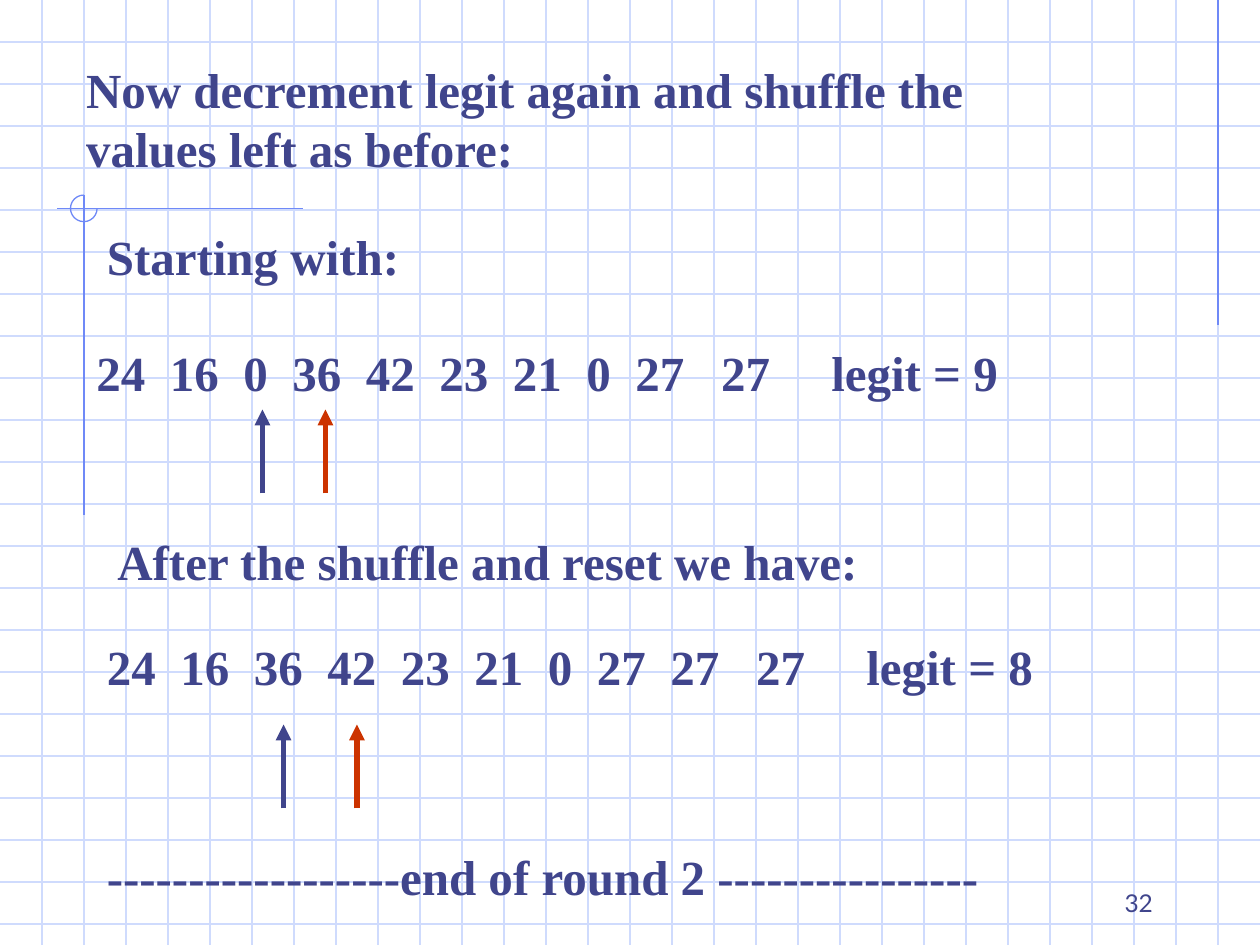
from dataclasses import dataclass
from lxml import etree
from pptx import Presentation
from pptx import util as u
from pptx.dml.color import RGBColor
from pptx.enum import shapes, text
from pptx.oxml import ns


@dataclass(frozen=True)
class Theme:
    ink: str = "40458C"
    accent: str = "CC3300"
    grid: str = "CFDBFD"
    ornament: str = "6F89F7"
    serif: str = "Times New Roman"
    sans: str = "Lato"
    body_size: float = 28
    number_size: float = 14
    leading: float = 33.8
    thin: float = 0.75
    thick: float = 3


@dataclass(frozen=True)
class Frame:
    left: float
    top: float
    width: float
    height: float


@dataclass(frozen=True)
class Line:
    x1: float
    y1: float
    x2: float
    y2: float
    color: str
    weight: float = 0.75
    arrow: bool = False


@dataclass(frozen=True)
class ArrayRow:
    frame: Frame
    values: tuple[str, ...]
    legit: str


THEME = Theme()
WIDTH, HEIGHT, CELL = 720, 540, 24
LINE_FRAME_HEIGHT = 41

HEADING = "Now decrement legit again and shuffle the values left as before:"
CAPTIONS = (
    (Frame(54, 126, 306, LINE_FRAME_HEIGHT), "Starting with:"),
    (Frame(60, 300, 606, LINE_FRAME_HEIGHT), "After the shuffle and reset we have:"),
    (Frame(54, 480, 582, LINE_FRAME_HEIGHT),
     "------------------end of round 2 ----------------"),
)
ROWS = (
    ArrayRow(Frame(48, 192, 624, LINE_FRAME_HEIGHT),
             ("24", "16", "0", "36", "42", "23", "21", "0", "27", "27"), "legit = 9"),
    ArrayRow(Frame(54, 360, 624, LINE_FRAME_HEIGHT),
             ("24", "16", "36", "42", "23", "21", "0", "27", "27", "27"), "legit = 8"),
)
ORNAMENTS = (
    Line(696, 0, 696, 186, THEME.ornament),
    Line(173, 119, 32.5, 119, THEME.ornament),
    Line(48, 111.5, 48, 294.5, THEME.ornament),
)
POINTERS = tuple(
    Line(x, top + 48, x, top, color, THEME.thick, True)
    for x, top, color in (
        (150, 234, THEME.ink), (162, 414, THEME.ink),
        (186, 234, THEME.accent), (204, 414, THEME.accent),
    )
)


def draw_line(page, line: Line) -> None:
    connector = page.shapes.add_connector(
        shapes.MSO_CONNECTOR.STRAIGHT,
        u.Pt(line.x1), u.Pt(line.y1), u.Pt(line.x2), u.Pt(line.y2))
    connector.line.color.rgb = RGBColor.from_string(line.color)
    connector.line.width = u.Pt(line.weight)
    properties = connector.element.spPr
    if line.arrow:
        outline = properties.find(ns.qn("a:ln"))
        etree.SubElement(outline, ns.qn("a:tailEnd"), type="triangle")
    etree.SubElement(properties, ns.qn("a:effectLst"))


def draw_grid(page) -> None:
    for y in range(CELL, HEIGHT, CELL):
        draw_line(page, Line(0, y, WIDTH, y, THEME.grid))
    for x in range(CELL, WIDTH, CELL):
        draw_line(page, Line(x, 0, x, HEIGHT, THEME.grid))


def draw_ring(page, frame: Frame) -> None:
    """Draw a three-quarter circle, open at the upper right."""
    ring = page.shapes.add_shape(
        shapes.MSO_SHAPE.ARC, u.Pt(frame.left), u.Pt(frame.top),
        u.Pt(frame.width), u.Pt(frame.height))
    ring.adjustments[0], ring.adjustments[1] = 0, 162
    ring.shadow.inherit = False
    ring.fill.background()
    ring.line.color.rgb = RGBColor.from_string(THEME.ornament)
    ring.line.width = u.Pt(THEME.thin)


def add_box(page, frame: Frame):
    return page.shapes.add_textbox(
        u.Pt(frame.left), u.Pt(frame.top), u.Pt(frame.width), u.Pt(frame.height))


def prepare_para(box, anchor=text.MSO_ANCHOR.TOP, align=text.PP_ALIGN.LEFT):
    """Set up the box for wrapped text and return its first paragraph."""
    box.text_frame.word_wrap = True
    box.text_frame.auto_size = text.MSO_AUTO_SIZE.NONE
    box.text_frame.vertical_anchor = anchor
    para = box.text_frame.paragraphs[0]
    para.alignment = align
    return para


def add_span(para, words: str, font: str, size: float, bold: bool) -> None:
    span = para.add_run()
    span.text = words
    span.font.name = font
    span.font.size = u.Pt(size)
    span.font.bold = bold
    span.font.color.rgb = RGBColor.from_string(THEME.ink)


def write_body(box, words: str):
    para = prepare_para(box)
    para.line_spacing = u.Pt(THEME.leading)
    add_span(para, words, THEME.serif, THEME.body_size, True)
    return para


def draw_row(page, row: ArrayRow) -> None:
    """Write the array on one line, with tab stops set from the digit width."""
    para = write_body(add_box(page, row.frame), "\t".join((*row.values, row.legit)))
    digit = THEME.body_size / 2
    gaps = [digit] * (len(row.values) - 2) + [digit * 1.5, digit * 2.5]
    tabs = etree.SubElement(para._p.get_or_add_pPr(), ns.qn("a:tabLst"))
    position = 0
    for value, gap in zip(row.values, gaps):
        position += len(value) * digit + gap
        etree.SubElement(tabs, ns.qn("a:tab"), pos=str(u.Pt(position)), algn="l")


def place_title(page, frame: Frame, words: str) -> None:
    title = page.shapes.title
    title.left, title.top = u.Pt(frame.left), u.Pt(frame.top)
    title.width, title.height = u.Pt(frame.width), u.Pt(frame.height)
    write_body(title, words)
    title.element.getparent().append(title.element)  # bring in front of the grid


def main() -> None:
    deck = Presentation()
    deck.slide_width, deck.slide_height = u.Pt(WIDTH), u.Pt(HEIGHT)
    page = deck.slides.add_slide(deck.slide_layouts[5])
    draw_grid(page)
    for ornament in ORNAMENTS:
        draw_line(page, ornament)
    draw_ring(page, Frame(40.3, 111.5, 15.2, 15.2))
    place_title(page, Frame(42, 30, 594, 75), HEADING)
    for frame, words in CAPTIONS:
        write_body(add_box(page, frame), words)
    for row in ROWS:
        draw_row(page, row)
    for pointer in POINTERS:
        draw_line(page, pointer)
    number = prepare_para(add_box(page, Frame(516, 492, 150, 36)),
                          text.MSO_ANCHOR.BOTTOM, text.PP_ALIGN.RIGHT)
    add_span(number, "32", THEME.sans, THEME.number_size, False)
    deck.save("out.pptx")


if __name__ == "__main__":
    main()
